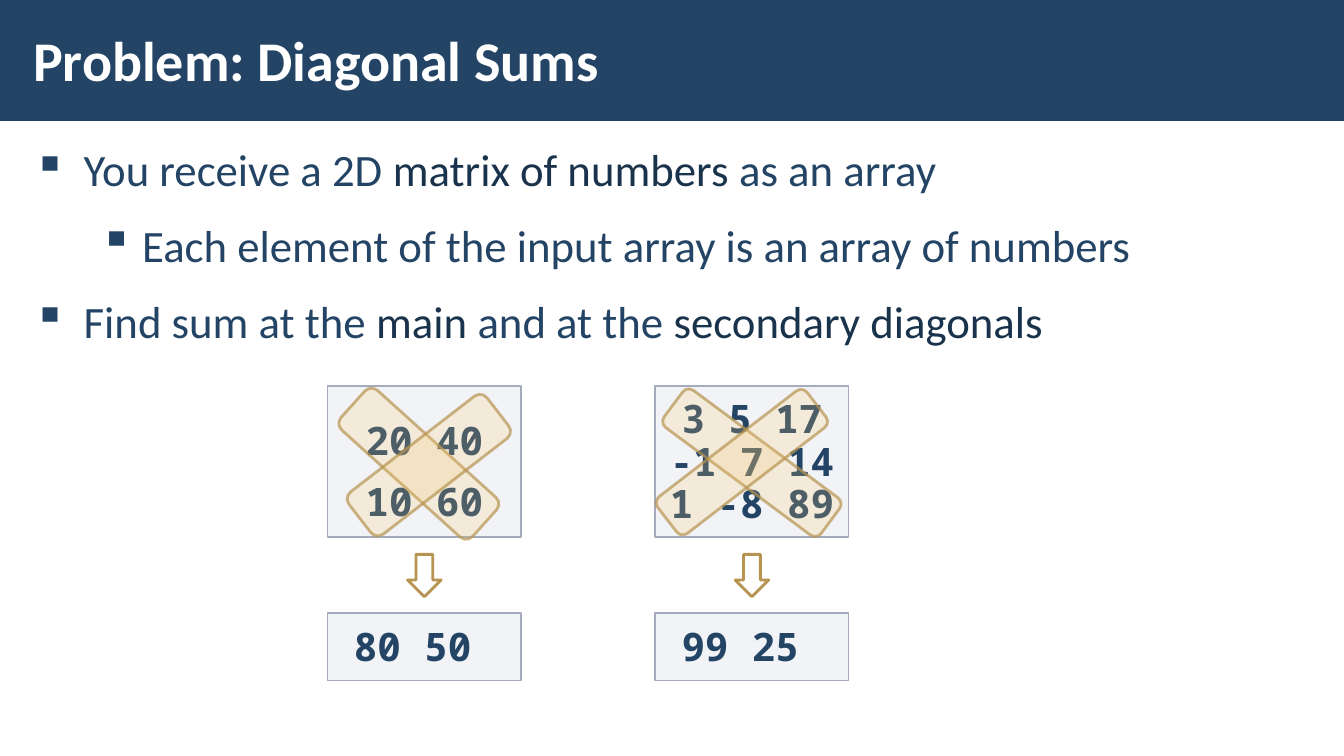
from dataclasses import dataclass

from lxml import etree
from pptx import Presentation
from pptx.dml.color import RGBColor
from pptx.enum import shapes, text
from pptx.oxml import ns
from pptx.util import Pt


@dataclass(frozen=True)
class Theme:
    navy: str = "234465"
    dark: str = "1A334C"
    white: str = "FFFFFF"
    panel: str = "C2C7D2"
    panel_line: str = "A3ABBC"
    gold: str = "F7C86D"
    gold_line: str = "B79451"
    sans: str = "Calibri"
    mono: str = "Noto Sans Mono"
    title_size: int = 40
    body_size: int = 32
    code_size: int = 28


theme = Theme()
presentation = Presentation()
presentation.slide_width, presentation.slide_height = Pt(960), Pt(540)
slide = presentation.slides.add_slide(presentation.slide_layouts[6])


def add_figure(kind, box, fill, line=None, width=1, fill_alpha=100, line_alpha=100):
    """Add a preset shape; the alphas are percentages of opacity."""
    shape = slide.shapes.add_shape(kind, *map(Pt, box))
    shape.shadow.inherit = False
    shape.fill.solid()
    shape.fill.fore_color.rgb = RGBColor.from_string(fill)
    if line:
        shape.line.color.rgb = RGBColor.from_string(line)
        shape.line.width = Pt(width)
    else:
        shape.line.fill.background()
    properties = shape.fill._xPr
    for parent, alpha in ((properties, fill_alpha), (properties.find(ns.qn("a:ln")), line_alpha)):
        if alpha < 100:
            color = parent.find(ns.qn("a:solidFill"))[0]
            etree.SubElement(color, ns.qn("a:alpha"), val=str(alpha * 1000))
    return shape


def add_run(paragraph, words, **format_values):
    run = paragraph.add_run()
    run.text = words
    color = format_values.pop("color")
    for name, value in format_values.items():
        setattr(run.font, name, value)
    run.font.color.rgb = RGBColor.from_string(color)


# Title bar
add_figure(shapes.MSO_SHAPE.RECTANGLE, (0, 0, 960, 86.4), theme.navy)

# Bulleted text: level, then runs with their colours
bullets = [
    (0, [("You receive a 2D ", theme.navy), ("matrix of numbers", theme.dark),
         (" as an array", theme.navy)]),
    (1, [("Each element of the input array is an array of numbers", theme.navy)]),
    (0, [("Find sum at the ", theme.navy), ("main", theme.dark),
         (" and at the ", theme.navy), ("secondary diagonals", theme.dark)]),
]
indents = [(36, 36), (77.76, 30.24)]
margins = {"margin_left": Pt(8.64), "margin_right": Pt(8.64),
           "margin_top": Pt(2.88), "margin_bottom": Pt(2.88), "word_wrap": True}

body = slide.shapes.add_textbox(Pt(15.12), Pt(94.32), Pt(930.24), Pt(409.68)).text_frame
for name, value in margins.items():
    setattr(body, name, value)
for index, (level, runs) in enumerate(bullets):
    paragraph = body.add_paragraph() if index else body.paragraphs[0]
    left, hanging = indents[level]
    paragraph.level = level
    paragraph.line_spacing = 1.1
    paragraph.space_before = Pt(6 if index else 0)
    paragraph.space_after = Pt(6)
    properties = paragraph._p.get_or_add_pPr()
    properties.set("marL", str(Pt(left)))
    properties.set("indent", str(-Pt(hanging)))
    bullet_color = etree.SubElement(properties, ns.qn("a:buClr"))
    etree.SubElement(bullet_color, ns.qn("a:srgbClr"), val=theme.navy)
    etree.SubElement(properties, ns.qn("a:buChar"), char="▪")
    for words, color in runs:
        add_run(paragraph, words, size=Pt(theme.body_size), name=theme.sans, color=color)

# Title
title = slide.shapes.add_textbox(Pt(15.12), Pt(7.92), Pt(748.8), Pt(69.12)).text_frame
for name, value in margins.items():
    setattr(title, name, value)
title.vertical_anchor = text.MSO_ANCHOR.MIDDLE
add_run(title.paragraphs[0], "Problem: Diagonal Sums", size=Pt(theme.title_size),
        name=theme.sans, bold=True, color=theme.white)

# Examples: left edge, matrix rows, row spacing, sums, diagonal bands (box, rotation)
examples = [
    (234, ["20 40", "10 60"], 1.3, "80 50 ",
     [((280.08, 267.84, 38.16, 126.72), 312.1), ((287.28, 270, 38.16, 124.56), 52.3)]),
    (468, ["3 5 17", "-1 7 14", "1 -8 89"], 0.9, "99 25 ",
     [((520.56, 260.64, 33.12, 139.68), 306.6), ((513.36, 262.8, 33.12, 134.64), 52.4)]),
]
panel_width = 138.24
arrow_width = 24
panel_format = {"margin_left": Pt(7.2), "margin_right": Pt(7.2), "margin_top": Pt(5.76),
                "margin_bottom": Pt(2.88), "word_wrap": True,
                "vertical_anchor": text.MSO_ANCHOR.MIDDLE}

for left, matrix, matrix_spacing, sums, bands in examples:
    panels = [(275.76, 108, matrix, matrix_spacing), (437.76, 48.24, [sums], 0.9)]
    for top, height, rows, spacing in panels:
        panel = add_figure(shapes.MSO_SHAPE.RECTANGLE, (left, top, panel_width, height),
                           theme.panel, theme.panel_line, fill_alpha=20)
        frame = panel.text_frame
        for name, value in panel_format.items():
            setattr(frame, name, value)
        for index, row in enumerate(rows):
            paragraph = frame.add_paragraph() if index else frame.paragraphs[0]
            paragraph.alignment = text.PP_ALIGN.CENTER
            paragraph.line_spacing = spacing
            add_run(paragraph, row, size=Pt(theme.code_size), name=theme.mono,
                    bold=True, color=theme.navy)

    arrow_left = left + (panel_width - arrow_width) / 2
    add_figure(shapes.MSO_SHAPE.DOWN_ARROW, (arrow_left, 396, arrow_width, 30.24),
               theme.white, theme.gold_line, 2)

    for box, rotation in bands:
        band = add_figure(shapes.MSO_SHAPE.ROUNDED_RECTANGLE, box, theme.gold,
                          theme.gold_line, 2, fill_alpha=20, line_alpha=70)
        band.rotation = rotation

presentation.save("out.pptx")
